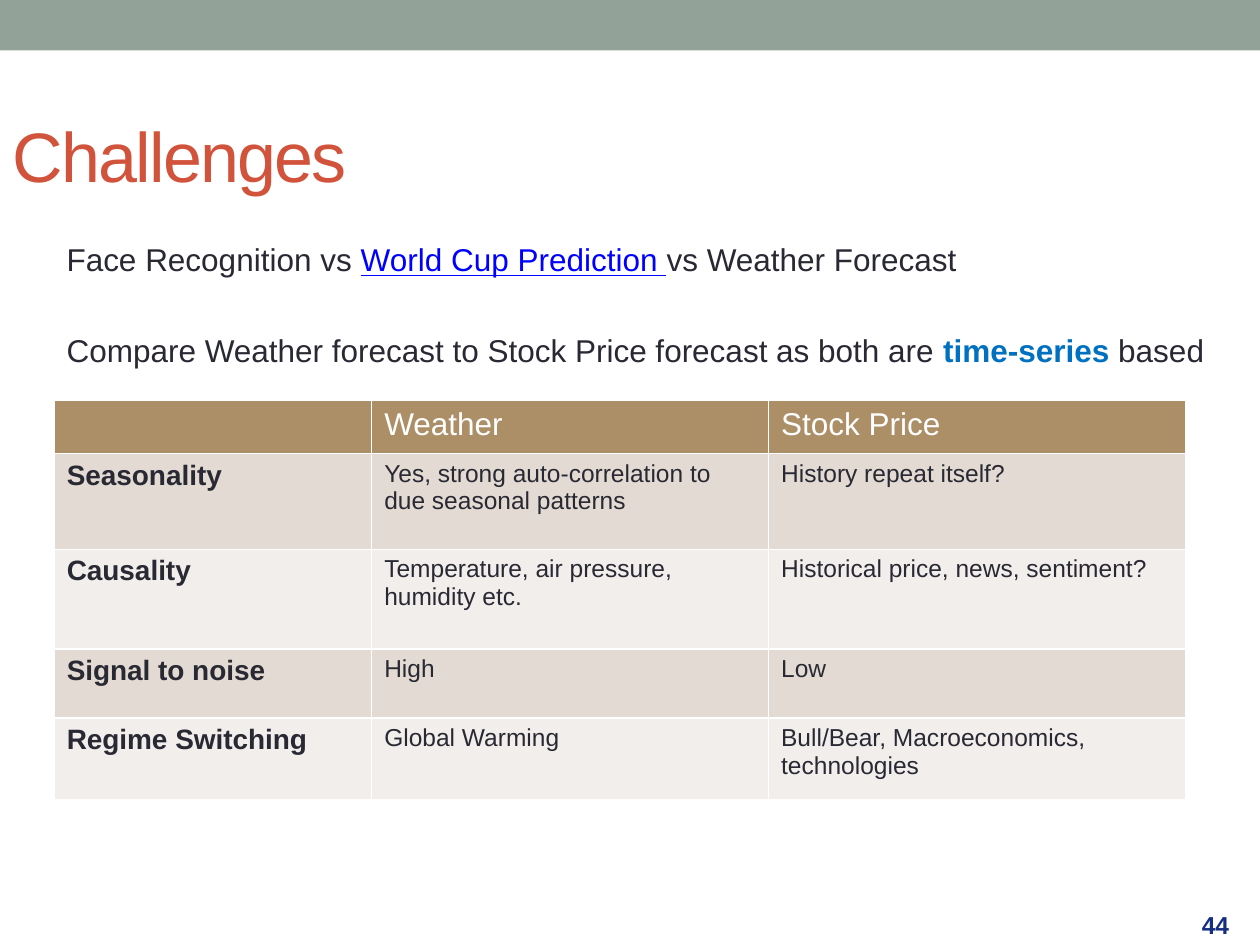
from typing import NamedTuple

from lxml.etree import SubElement
from pptx import Presentation
from pptx.dml.color import RGBColor
from pptx.enum.shapes import MSO_SHAPE
from pptx.enum.text import MSO_ANCHOR
from pptx.oxml.ns import qn
from pptx.util import Inches, Pt

FONT = "Arial"
SAGE = RGBColor(0x93, 0xA2, 0x99)
RED = RGBColor(0xD2, 0x53, 0x3C)
NAVY = RGBColor(0x15, 0x2E, 0x82)
INK = RGBColor(0x29, 0x29, 0x34)
LINK_BLUE = RGBColor(0x00, 0x00, 0xFF)
ACCENT_BLUE = RGBColor(0x00, 0x70, 0xC0)
WHITE = RGBColor(0xFF, 0xFF, 0xFF)
HEADER_TAN = RGBColor(0xAD, 0x8F, 0x67)
BANDS = (RGBColor(0xE3, 0xDB, 0xD3), RGBColor(0xF1, 0xEE, 0xEB))


class Piece(NamedTuple):
    text: str
    size: float = 18
    color: RGBColor = INK
    bold: bool = False
    underline: bool = False


class Box(NamedTuple):
    left: float
    top: float
    width: float
    height: float


INTRODUCTION = [
    [
        Piece("Face Recognition vs "),
        Piece("World Cup Prediction ", color=LINK_BLUE, underline=True),
        Piece("vs Weather Forecast"),
    ],
    [
        Piece("Compare Weather forecast to Stock Price forecast as both are "),
        Piece("time-series", color=ACCENT_BLUE, bold=True),
        Piece(" based"),
    ],
]
COLUMN_WIDTHS = (2.52, 3.15, 3.31)
ROW_HEIGHTS = (0.42, 0.76, 0.79, 0.55, 0.65)
COMPARISON = [
    ("", "Weather", "Stock Price"),
    ("Seasonality", "Yes, strong auto-correlation to due seasonal patterns",
     "History repeat itself?"),
    ("Causality", "Temperature, air pressure, humidity etc.",
     "Historical price, news, sentiment?"),
    ("Signal to noise", "High", "Low"),
    ("Regime Switching", "Global Warming", "Bull/Bear, Macroeconomics, technologies"),
]


def add_run(paragraph, piece: Piece):
    run = paragraph.add_run()
    run.text = piece.text
    font = run.font
    font.name = FONT
    font.size = Pt(piece.size)
    font.bold = piece.bold
    font.underline = piece.underline
    font.color.rgb = piece.color
    return run


def add_text(slide, box: Box, paragraphs: list[list[Piece]],
             anchor: MSO_ANCHOR = MSO_ANCHOR.TOP, gap: float = 0):
    """Add a text box; gap is the space in points between paragraphs."""
    shape = slide.shapes.add_textbox(*map(Inches, box))
    text_frame = shape.text_frame
    text_frame.word_wrap = True
    text_frame.vertical_anchor = anchor
    for index, pieces in enumerate(paragraphs):
        if index == 0:
            paragraph = text_frame.paragraphs[0]
        else:
            paragraph = text_frame.add_paragraph()
            paragraph.space_before = Pt(gap)
        for piece in pieces:
            add_run(paragraph, piece)
    return shape


def add_banner(slide) -> None:
    banner = slide.shapes.add_shape(
        MSO_SHAPE.RECTANGLE, 0, 0, Inches(10), Inches(0.4))
    banner.shadow.inherit = False
    banner.fill.solid()
    banner.fill.fore_color.rgb = SAGE
    banner.line.fill.background()


def add_borders(cell) -> None:
    """Give a cell white one-point borders, placed ahead of its fill."""
    properties = cell._tc.get_or_add_tcPr()
    for position, side in enumerate(("lnL", "lnR", "lnT", "lnB")):
        line = SubElement(properties, qn(f"a:{side}"), w=str(Pt(1)))
        fill = SubElement(line, qn("a:solidFill"))
        SubElement(fill, qn("a:srgbClr"), val=str(WHITE))
        properties.insert(position, line)


def cell_piece(text: str, row: int, column: int) -> Piece:
    if row == 0:
        return Piece(text, color=WHITE)
    if column == 0:
        return Piece(text, size=16, bold=True)
    return Piece(text, size=14)


def add_comparison_table(slide) -> None:
    box = Box(0.43, 3.18, sum(COLUMN_WIDTHS), sum(ROW_HEIGHTS))
    table = slide.shapes.add_table(
        len(ROW_HEIGHTS), len(COLUMN_WIDTHS), *map(Inches, box)).table
    for column, width in zip(table.columns, COLUMN_WIDTHS):
        column.width = Inches(width)
    for row, height in zip(table.rows, ROW_HEIGHTS):
        row.height = Inches(height)
    for row_index, texts in enumerate(COMPARISON):
        for column_index, text in enumerate(texts):
            cell = table.cell(row_index, column_index)
            cell.fill.solid()
            cell.fill.fore_color.rgb = (
                BANDS[(row_index - 1) % 2] if row_index else HEADER_TAN)
            add_borders(cell)
            if text:
                add_run(cell.text_frame.paragraphs[0],
                        cell_piece(text, row_index, column_index))


def main() -> None:
    presentation = Presentation()
    presentation.slide_width = Inches(10)
    presentation.slide_height = Inches(7.5)
    slide = presentation.slides.add_slide(presentation.slide_layouts[6])

    add_banner(slide)
    add_text(slide, Box(9.44, 7.14, 0.55, 0.39),
             [[Piece("44", 14, NAVY, bold=True)]], MSO_ANCHOR.MIDDLE)
    title = add_text(slide, Box(0, 0.68, 8.83, 1.09),
                     [[Piece("Challenges", 40, RED)]], MSO_ANCHOR.MIDDLE)
    title_run = title.text_frame.paragraphs[0].runs[0]
    title_run.font._element.set("spc", "-100")
    add_text(slide, Box(0.43, 1.86, 9.45, 0.87), INTRODUCTION, gap=30)
    add_comparison_table(slide)

    presentation.save("out.pptx")


if __name__ == "__main__":
    main()
